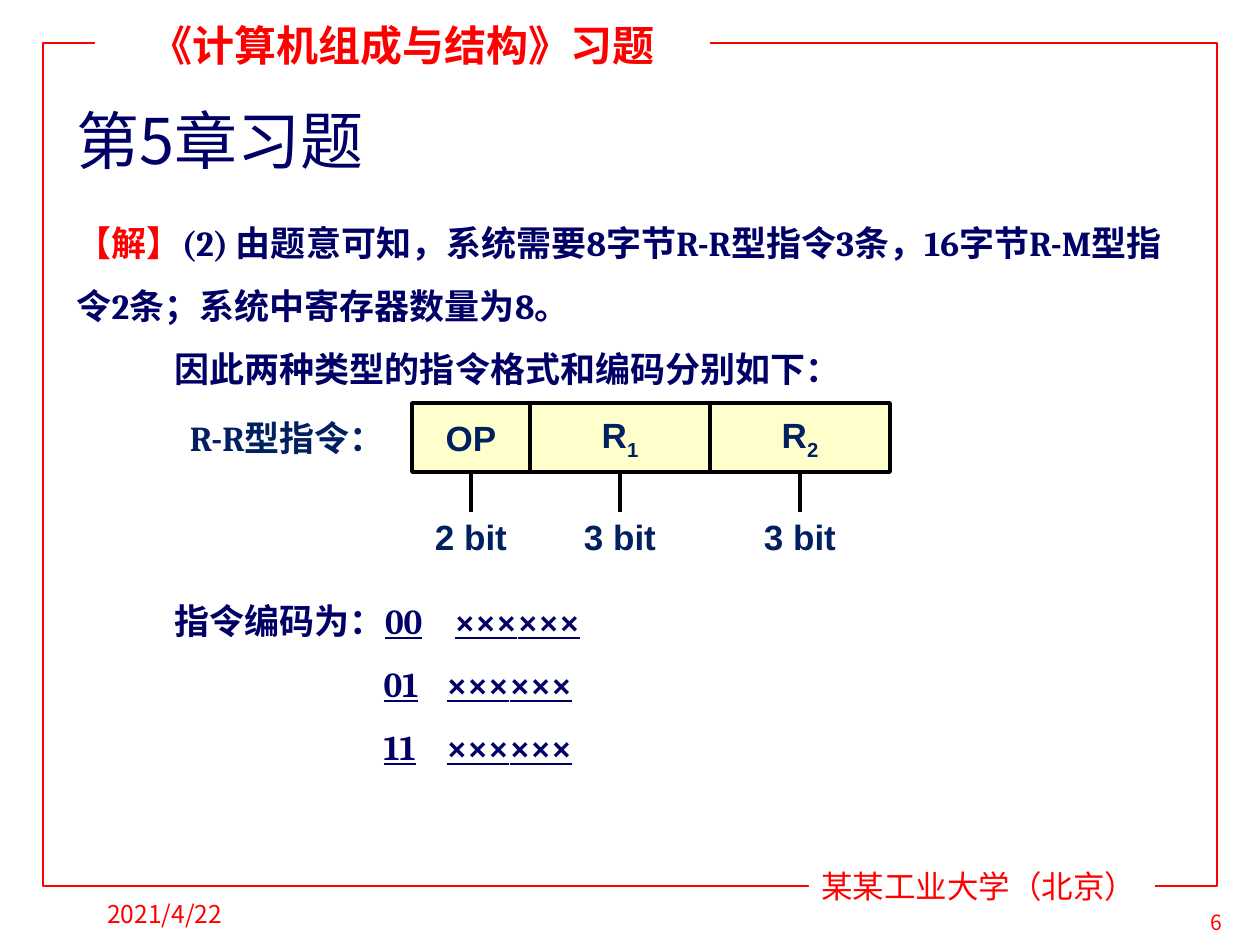
from lxml import etree
from pptx import Presentation
from pptx import util as u
from pptx.dml.color import RGBColor
from pptx.enum import shapes, text
from pptx.oxml.ns import qn

SCALE = 914400 / 126
COLORS = {"red": "FF0000", "navy": "000066", "ink": "002060",
          "cell": "FFFFCC", "white": "FFFFFF", "black": "000000"}
CJK = "Noto Sans CJK SC"
BODY = {"size": u.Pt(20), "bold": True, "name": "Cambria", "color": "navy"}
LABEL = {"size": u.Pt(20), "bold": True, "name": "Arial", "color": "ink"}
CENTER, LEFT = text.PP_ALIGN.CENTER, text.PP_ALIGN.LEFT


def px(n):
    return u.Emu(round(n * SCALE))


def rgb(name):
    return RGBColor.from_string(COLORS[name])


def add_run(p, content, fmt, **changes):
    r = p.add_run()
    r.text = content
    for key, value in {**fmt, **changes}.items():
        if key == "color":
            r.font.color.rgb = rgb(value)
        elif key == "baseline":
            r.font._element.set("baseline", str(value))
        else:
            setattr(r.font, key, value)
    etree.SubElement(r.font._element, qn("a:ea")).set("typeface", CJK)
    return r


def setup_frame(sp, anchor=text.MSO_ANCHOR.MIDDLE, wrap=True):
    tf = sp.text_frame
    frame = {"word_wrap": wrap, "vertical_anchor": anchor,
             "auto_size": text.MSO_AUTO_SIZE.NONE}
    for key, value in frame.items():
        setattr(tf, key, value)
    return tf


def add_box(s, box, fill=None, line=None, width=2):
    sp = s.shapes.add_shape(shapes.MSO_SHAPE.RECTANGLE, *map(px, box))
    sp.shadow.inherit = False
    if fill:
        sp.fill.solid()
        sp.fill.fore_color.rgb = rgb(fill)
    else:
        sp.fill.background()
    if line:
        sp.line.color.rgb = rgb(line)
        sp.line.width = u.Pt(width)
    else:
        sp.line.fill.background()
    return sp


def write_line(sp, content, fmt, align=CENTER, wrap=True):
    p = setup_frame(sp, wrap=wrap).paragraphs[0]
    p.alignment = align
    add_run(p, content, fmt)
    return p


def place(sp, box):
    for key, value in zip(("left", "top", "width", "height"), box):
        setattr(sp, key, px(value))


def add_page_frame(s):
    red = {"color": "red", "name": "Times New Roman"}
    small = {"color": "red", "name": CJK}
    add_box(s, (43, 43, 1174, 843), line="red", width=1)
    write_line(add_box(s, (95, 13, 615, 63), "white"), "《计算机组成与结构》习题",
               {**red, "size": u.Pt(24), "bold": True})
    write_line(add_box(s, (809, 861, 346, 50), "white"), "某某工业大学（北京）",
               {**red, "size": u.Pt(18)}, LEFT)
    write_line(s.shapes.add_textbox(*map(px, (95, 882, 262, 63))), "2021/4/22",
               {**small, "size": u.Pt(14)}, LEFT, wrap=False)
    write_line(s.shapes.add_textbox(*map(px, (1175, 903, 82, 38))), "6",
               {**small, "size": u.Pt(12)})


def add_paragraph(tf, first_indent=0, left=0, before=0):
    p = tf.paragraphs[0] if not tf.paragraphs[0].runs else tf.add_paragraph()
    spacing = {"alignment": LEFT, "line_spacing": 1.5,
               "space_before": u.Pt(before), "space_after": u.Pt(0)}
    for key, value in spacing.items():
        setattr(p, key, value)
    pPr = p._p.get_or_add_pPr()
    pPr.set("marL", str(px(left)))
    pPr.set("indent", str(px(first_indent)))
    return p


def add_code(p, opcode, stops):
    """Underlined opcode and two operand fields, parted by tab stops."""
    tabs = etree.SubElement(p._p.get_or_add_pPr(), qn("a:tabLst"))
    for stop in stops:
        etree.SubElement(tabs, qn("a:tab"), pos=str(px(stop)), algn="l")
    add_run(p, opcode, BODY, underline=True)
    for _ in stops:
        add_run(p, "\t", BODY, underline=False)
        add_run(p, "×××", BODY, underline=True)


def fill_body(sp):
    place(sp, (64, 194, 1142, 650))
    tf = setup_frame(sp, text.MSO_ANCHOR.TOP)
    p = add_paragraph(tf)
    add_run(p, "【解】", BODY, color="red", name=CJK)
    add_run(p, "(2) 由题意可知，系统需要8字节R-R型指令3条，16字节R-M型指令2条；"
               "系统中寄存器数量为8。", BODY)
    add_run(add_paragraph(tf, 98), "因此两种类型的指令格式和编码分别如下：", BODY)
    p = add_paragraph(tf, 98, before=108)
    add_run(p, "指令编码为：", BODY)
    add_code(p, "00", (370, 448))
    for opcode, stops in (("01", (357, 434)), ("11", (354, 432))):
        add_code(add_paragraph(tf, left=307), opcode, stops)


def add_stem(s, field, label):
    c = s.shapes.add_connector(shapes.MSO_CONNECTOR.STRAIGHT, 0, 0, 0, 0)
    c.begin_connect(field, 2)
    c.end_connect(label, 0)
    c.line.color.rgb = rgb("black")
    c.line.width = u.Pt(2)
    etree.SubElement(c._element.spPr, qn("a:effectLst"))


def add_instruction_format(s):
    caption = add_box(s, (164, 403, 247, 69), "white", "white")
    p = write_line(caption, "R-R", LABEL | {"name": "Cambria"})
    add_run(p, "型指令：", LABEL, name=CJK)
    x = 412
    for name, index, width, bits in (("OP", "", 118, 2), ("R", "1", 180, 3),
                                     ("R", "2", 180, 3)):
        field = add_box(s, (x, 403, width, 69), "cell", "black")
        p = write_line(field, name, LABEL)
        if index:
            add_run(p, index, LABEL, baseline=-25000)
        label = add_box(s, (x + width / 2 - 60, 512, 120, 50), "white")
        write_line(label, f"{bits} bit", LABEL)
        add_stem(s, field, label)
        x += width


def main():
    prs = Presentation()
    prs.slide_width, prs.slide_height = px(1260), px(945)
    s = prs.slides.add_slide(prs.slide_layouts[0])
    add_page_frame(s)
    title, body = s.placeholders
    place(title, (64, 95, 1142, 89))
    write_line(title, "第5章习题",
               {"size": u.Pt(36), "name": CJK, "color": "navy"}, LEFT)
    fill_body(body)
    add_instruction_format(s)
    prs.save("out.pptx")


if __name__ == "__main__":
    main()
